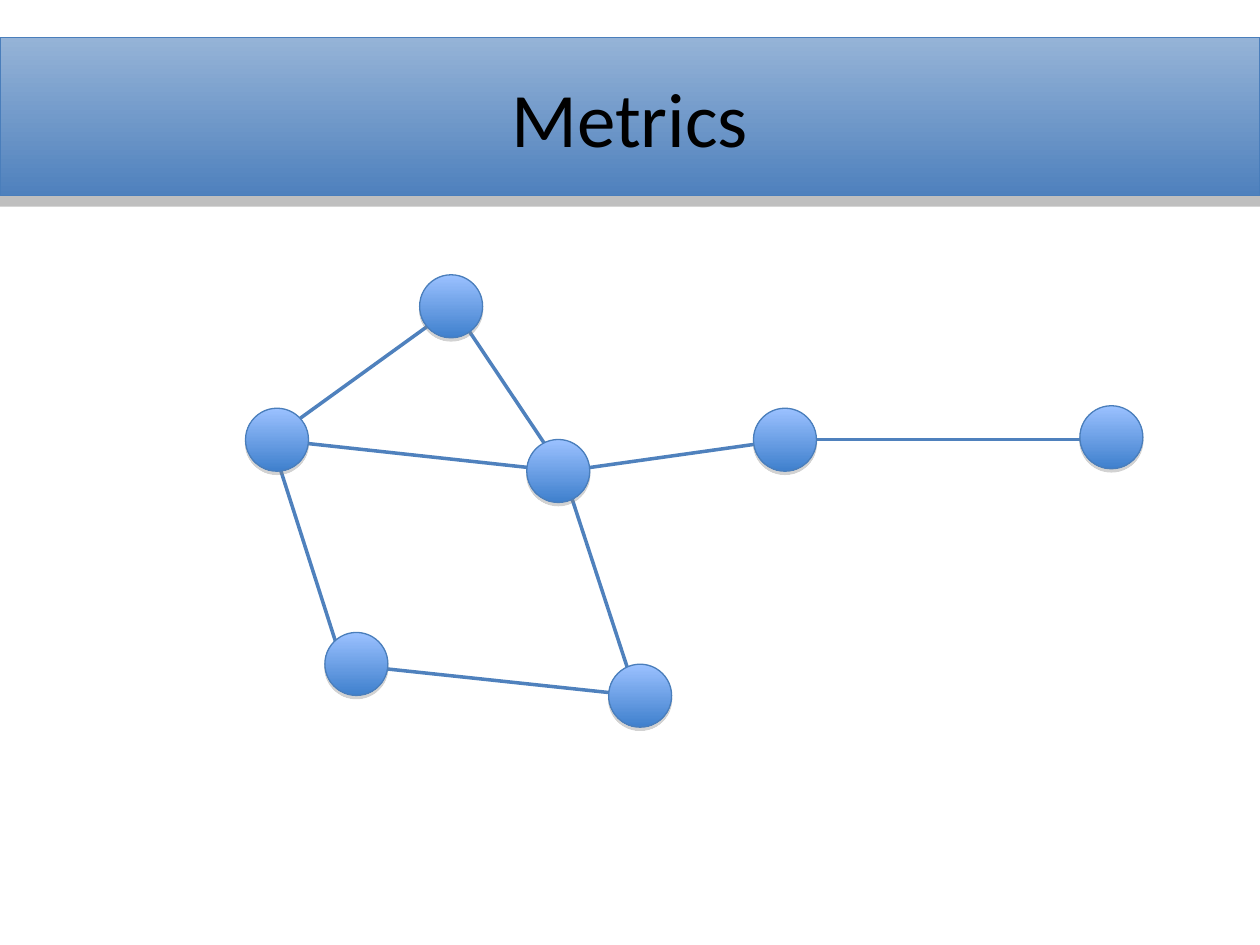
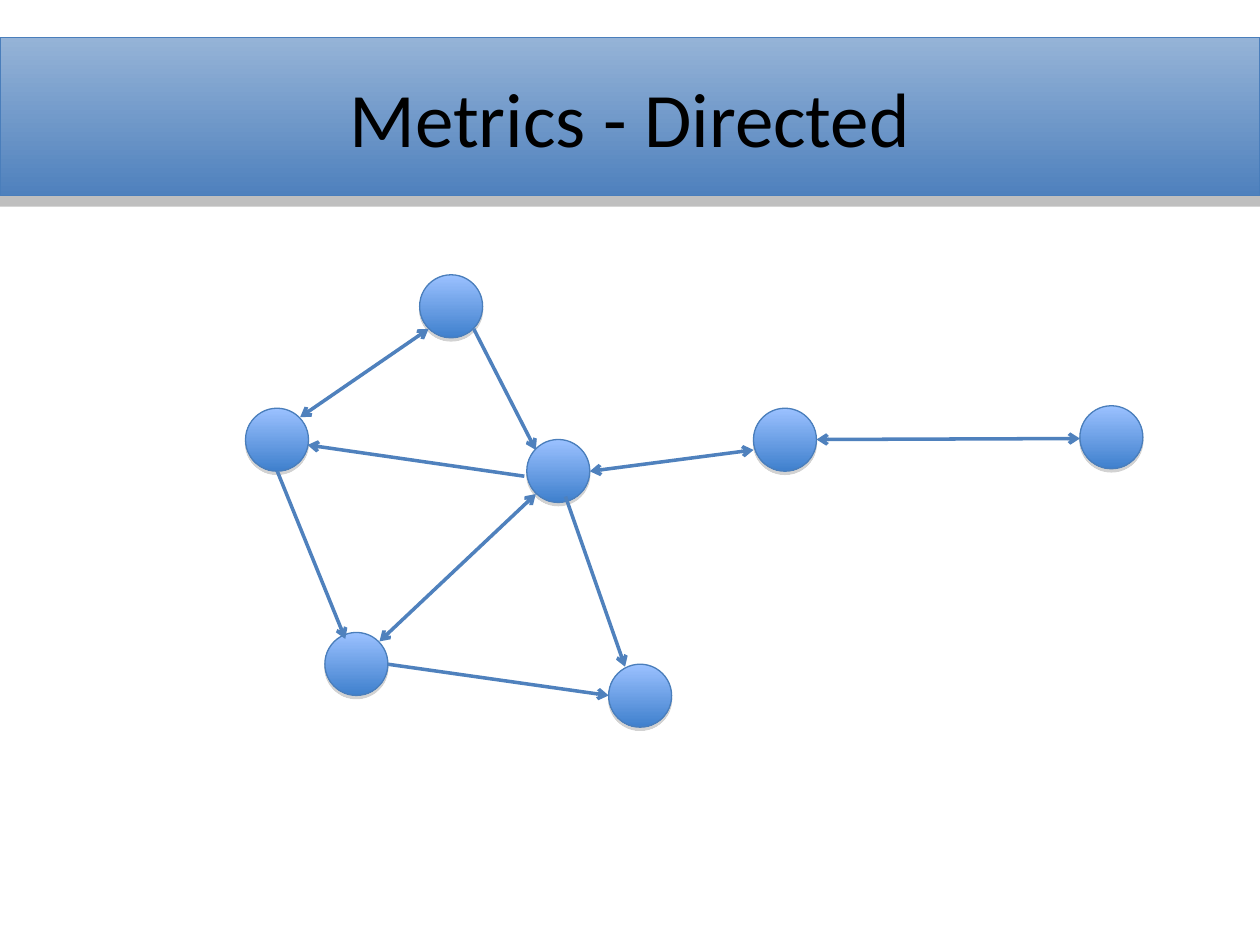
from lxml import etree
from pptx import Presentation
from pptx.dml.color import RGBColor
from pptx.enum.shapes import MSO_CONNECTOR, MSO_SHAPE
from pptx.enum.text import MSO_ANCHOR, PP_ALIGN
from pptx.oxml.ns import qn
from pptx.util import Cm, Pt

RECTANGLE, OVAL = MSO_SHAPE.RECTANGLE, MSO_SHAPE.OVAL
STRAIGHT = MSO_CONNECTOR.STRAIGHT
MIDDLE, CENTER = MSO_ANCHOR.MIDDLE, PP_ALIGN.CENTER

# Shared look
BLACK = RGBColor(0x00, 0x00, 0x00)
OUTLINE = RGBColor(0x4A, 0x7E, 0xBB)
EDGE = RGBColor(0x4F, 0x81, 0xBD)
BAND_COLOURS = (RGBColor(0x95, 0xB3, 0xD7), EDGE)
NODE_COLOURS = (RGBColor(0x9B, 0xC1, 0xFF), RGBColor(0x3F, 0x80, 0xCD))
SHADOW = RGBColor(0x80, 0x80, 0x80)
FONT = "Calibri"
SLIDE_WIDTH, SLIDE_HEIGHT = 25.4, 19.05
BAND_TOP, BAND_HEIGHT = 0.76, 3.18
TITLE_MARGIN = 1.27
NODE_SIZE = 1.27

# Top left corner of each node's frame, in cm
NODES = {
    "left": (4.95, 8.23),
    "lower left": (6.55, 12.75),
    "hub": (10.62, 8.86),
    "lower right": (12.27, 13.39),
    "bridge": (15.19, 8.23),
    "top": (8.46, 5.54),
    "end": (21.77, 8.18),
}

# Points inside the nodes where undirected edges meet
JOINTS = {
    "left": (5.46, 8.86),
    "lower left": (6.91, 13.39),
    "hub": (11.35, 9.5),
    "lower right": (12.83, 14.02),
    "bridge": (15.9, 8.86),
    "top": (9.14, 6.2),
    "end": (22.5, 8.86),
}
UNDIRECTED_EDGES = [
    ("left", "top"), ("top", "hub"), ("left", "hub"), ("hub", "bridge"),
    ("bridge", "end"), ("hub", "lower right"), ("left", "lower left"),
    ("lower right", "lower left"),
]

# Directed edges run between node rims: start, finish
ONE_WAY_EDGES = [
    ((9.55, 6.63), (10.8, 9.07)),     # top to hub
    ((11.4, 10.01), (12.6, 13.44)),   # hub to lower right
    ((7.82, 13.39), (12.27, 14.02)),  # lower left to lower right
    ((10.57, 9.6), (6.2, 8.97)),      # hub to left
    ((5.59, 9.5), (6.96, 12.88)),     # left to lower left
]
TWO_WAY_EDGES = [
    ((16.46, 8.86), (21.77, 8.84)),   # bridge and end
    ((7.65, 12.93), (10.8, 9.96)),    # lower left and hub
    ((11.89, 9.5), (15.19, 9.07)),    # hub and bridge
    ((6.05, 8.41), (8.64, 6.63)),     # left and top
]


def add_shadow(shape, distance, opacity):
    """Drop a sharp grey shadow straight below the shape."""
    shape.shadow.inherit = False
    effects = shape.element.spPr.find(qn("a:effectLst"))
    shadow = etree.SubElement(effects, qn("a:outerShdw"), blurRad="0",
                              dist=str(Pt(distance)), dir="5400000",
                              algn="t", rotWithShape="0")
    colour = etree.SubElement(shadow, qn("a:srgbClr"), val=str(SHADOW))
    etree.SubElement(colour, qn("a:alpha"), val=str(opacity * 1000))


def add_gradient_shape(slide, kind, left, top, width, height, colours,
                       shadow_distance, shadow_opacity):
    shape = slide.shapes.add_shape(kind, Cm(left), Cm(top), Cm(width), Cm(height))
    shape.fill.gradient()
    shape.fill.gradient_angle = 270
    for stop, colour in zip(shape.fill.gradient_stops, colours):
        stop.color.rgb = colour
    shape.line.color.rgb = OUTLINE
    shape.line.width = Pt(0.75)
    add_shadow(shape, shadow_distance, shadow_opacity)


def add_title(slide, title):
    add_gradient_shape(slide, RECTANGLE, 0, BAND_TOP, SLIDE_WIDTH, BAND_HEIGHT,
                       BAND_COLOURS, 6, 49)
    box = slide.shapes.add_textbox(Cm(TITLE_MARGIN), Cm(BAND_TOP),
                                   Cm(SLIDE_WIDTH - 2 * TITLE_MARGIN),
                                   Cm(BAND_HEIGHT))
    frame = box.text_frame
    frame.word_wrap = True
    frame.vertical_anchor = MIDDLE
    paragraph = frame.paragraphs[0]
    paragraph.text = title
    paragraph.alignment = CENTER
    paragraph.font.name = FONT
    paragraph.font.size = Pt(44)
    paragraph.font.color.rgb = BLACK


def add_nodes(slide):
    for left, top in NODES.values():
        add_gradient_shape(slide, OVAL, left, top, NODE_SIZE, NODE_SIZE,
                           NODE_COLOURS, 1.8, 35)


def add_edge(slide, start, finish, arrow_ends=()):
    points = [Cm(value) for value in (*start, *finish)]
    connector = slide.shapes.add_connector(STRAIGHT, *points)
    connector.line.color.rgb = EDGE
    connector.line.width = Pt(2)
    properties = connector.element.spPr
    for end in arrow_ends:
        etree.SubElement(properties.find(qn("a:ln")), qn(end), type="arrow")
    etree.SubElement(properties, qn("a:effectLst"))


def add_titled_slide(presentation, title):
    slide = presentation.slides.add_slide(presentation.slide_layouts[6])
    add_title(slide, title)
    return slide


def main():
    presentation = Presentation()
    presentation.slide_width = Cm(SLIDE_WIDTH)
    presentation.slide_height = Cm(SLIDE_HEIGHT)

    # Undirected network: nodes cover the edge ends
    slide = add_titled_slide(presentation, "Metrics")
    for first, second in UNDIRECTED_EDGES:
        add_edge(slide, JOINTS[first], JOINTS[second])
    add_nodes(slide)

    # Directed network: arrows lie above the nodes
    slide = add_titled_slide(presentation, "Metrics - Directed")
    add_nodes(slide)
    for start, finish in ONE_WAY_EDGES:
        add_edge(slide, start, finish, ["a:tailEnd"])
    for start, finish in TWO_WAY_EDGES:
        add_edge(slide, start, finish, ["a:headEnd", "a:tailEnd"])

    presentation.save("out.pptx")


if __name__ == "__main__":
    main()
